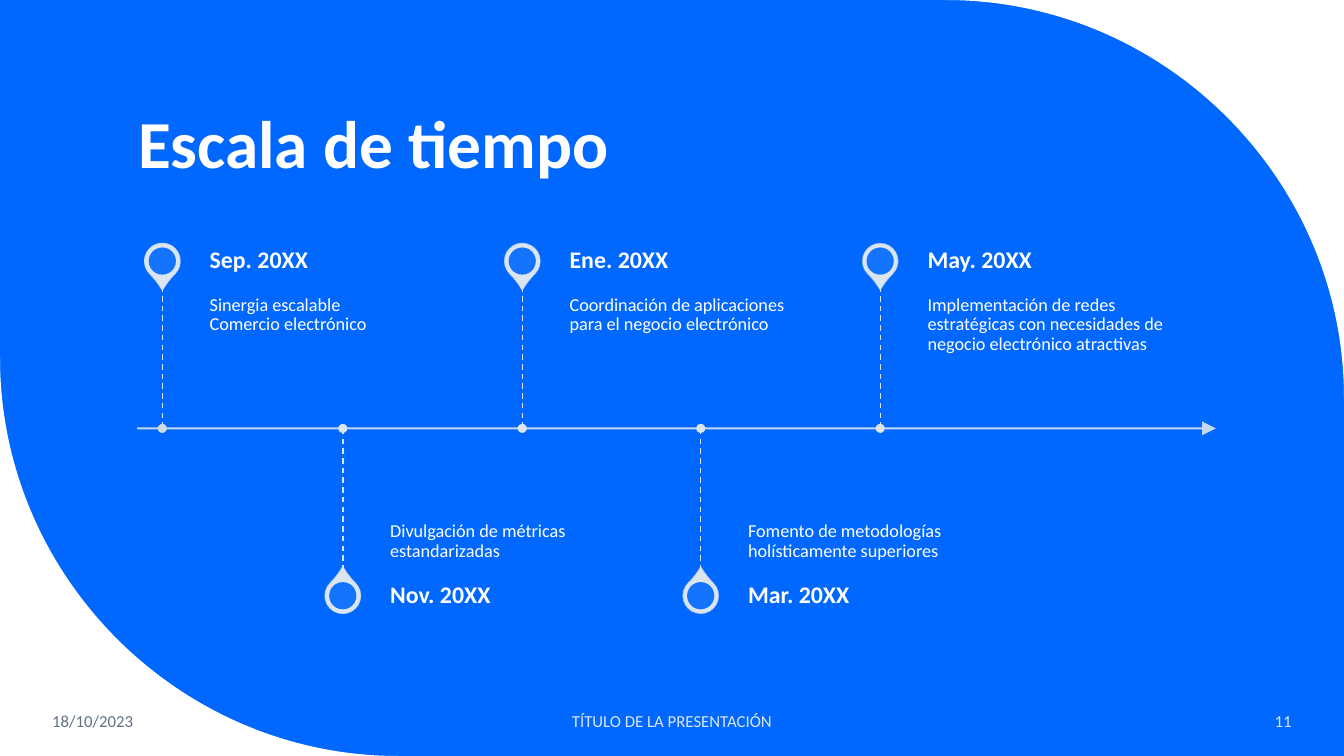
from dataclasses import dataclass

from lxml.etree import SubElement
from pptx import Presentation
from pptx.dml.color import RGBColor
from pptx.enum.dml import MSO_LINE
from pptx.enum.shapes import MSO_CONNECTOR, MSO_SHAPE
from pptx.enum.text import MSO_ANCHOR, MSO_AUTO_SIZE, PP_ALIGN
from pptx.oxml.ns import qn
from pptx.util import Emu, Pt


@dataclass(frozen=True)
class Theme:
    font: str = "Calibri"
    blue: str = "0068FF"
    white: str = "FFFFFF"
    pale: str = "DAE5EF"
    first_dot: str = "D0DBE4"
    grey: str = "637183"
    title: int = 48
    date: int = 17
    body: int = 13
    footer: int = 12


THEME = Theme()
EMU_PER_PX = 9144  # 100 px to the inch
WIDTH, HEIGHT = 1333, 750
CORNER_RADIUS = 395
CIRCLE_HANDLE = 0.55  # Bézier handle length of a quarter circle
AXIS_Y = 425
PIN_OFFSET = 166
STEM_LENGTH = 141
LABEL_OFFSET, LABEL_WIDTH, DATE_HEIGHT = 47, 253, 50
STOPS = [
    (161, "Sep. 20XX", "Sinergia escalable\nComercio electrónico"),
    (340, "Nov. 20XX", "Divulgación de métricas estandarizadas"),
    (518, "Ene. 20XX", "Coordinación de aplicaciones para el negocio electrónico"),
    (695, "Mar. 20XX", "Fomento de metodologías holísticamente superiores"),
    (873, "May. 20XX", "Implementación de redes estratégicas con necesidades de "
                       "negocio electrónico atractivas"),
]
FOOTERS = [
    ((42, 695, 186, 40), "18/10/2023", THEME.grey, PP_ALIGN.LEFT),
    ((442, 695, 449, 40), "TÍTULO DE LA PRESENTACIÓN", THEME.pale, PP_ALIGN.CENTER),
    ((1110, 695, 181, 40), "11", THEME.pale, PP_ALIGN.RIGHT),
]


def px(length):
    return Emu(round(length * EMU_PER_PX))


def rgb(color):
    return RGBColor.from_string(color)


def apply(target, values):
    for name, value in values.items():
        setattr(target, name, value)


def paint(shape, color):
    """Give a plain fill, with neither outline nor shadow."""
    shape.shadow.inherit = False
    shape.fill.solid()
    shape.fill.fore_color.rgb = rgb(color)
    shape.line.fill.background()


def fade(element, percent):
    """Set the opacity of every colour inside the element."""
    for color in element.iter(qn("a:srgbClr")):
        SubElement(color, qn("a:alpha"), val=str(percent * 1000))


def write(box, text, size, color=THEME.white, bold=False, anchor=MSO_ANCHOR.MIDDLE,
          align=PP_ALIGN.LEFT, insets=(10, 5, 10, 5), spacing=0.9):
    """Fill a shape with one formatted paragraph; insets run left, top, right, bottom."""
    frame = box.text_frame
    apply(frame, {"word_wrap": True, "auto_size": MSO_AUTO_SIZE.NONE,
                  "vertical_anchor": anchor})
    sides = ("margin_left", "margin_top", "margin_right", "margin_bottom")
    apply(frame, {side: px(inset) for side, inset in zip(sides, insets)})
    para = frame.paragraphs[0]
    apply(para, {"text": text, "alignment": align, "line_spacing": spacing})
    for span in para.runs:
        apply(span.font, {"name": THEME.font, "size": Pt(size), "bold": bold})
        span.font.color.rgb = rgb(color)


def add_text(page, place, text, size, **style):
    write(page.shapes.add_textbox(*map(px, place)), text, size, **style)


def add_title(page, text):
    title = page.shapes.title
    apply(title, {"left": px(127), "top": px(42), "width": px(1069), "height": px(145)})
    write(title, text, THEME.title, bold=True, anchor=MSO_ANCHOR.BOTTOM)


def add_corner(page, corner, start, end):
    """Cover a slide corner outside a quarter circle that runs from start to end."""
    builder = page.shapes.build_freeform(*corner, scale=EMU_PER_PX)
    builder.add_line_segments([start, end], close=True)
    shape = builder.convert_to_shape()
    paint(shape, THEME.white)
    origin = [min(values) for values in zip(corner, start, end)]
    curve = list(shape._element.iter(qn("a:lnTo")))[1]
    curve.tag = qn("a:cubicBezTo")
    for index, point in enumerate((start, end)):
        x, y = (round(value + (target - value) * CIRCLE_HANDLE - zero)
                for value, target, zero in zip(point, corner, origin))
        handle = SubElement(curve, qn("a:pt"), x=str(x), y=str(y))
        curve.insert(index, handle)


def add_centered(page, kind, x, y, size, color):
    shape = page.shapes.add_shape(kind, px(x - size / 2), px(y - size / 2),
                                  px(size), px(size))
    paint(shape, color)
    return shape


def add_line(page, start, end, width, dash=MSO_LINE.SOLID):
    connector = page.shapes.add_connector(MSO_CONNECTOR.STRAIGHT,
                                          *map(px, (*start, *end)))
    connector.line.color.rgb = rgb(THEME.pale)
    apply(connector.line, {"width": Pt(width), "dash_style": dash})
    SubElement(connector._element.spPr, qn("a:effectLst"))
    return connector


def add_axis(page):
    axis = add_line(page, (136, AXIS_Y), (1206, AXIS_Y), 1.5)
    outline = axis._element.spPr.find(qn("a:ln"))
    fade(outline, 90)
    SubElement(outline, qn("a:tailEnd"), type="triangle", w="lg", len="lg")


def add_pin(page, x, y, rotation, opacity):
    drop = add_centered(page, MSO_SHAPE.TEAR, x, y, 35, THEME.pale)
    drop.adjustments[0] = 1.15
    drop.rotation = rotation
    drop.line.color.rgb = rgb(THEME.pale)
    drop.line.width = Pt(1)
    fade(drop._element.spPr.find(qn("a:ln")), opacity)
    hole = add_centered(page, MSO_SHAPE.OVAL, x, y, 27, THEME.blue)
    fade(hole._element.spPr, 90)


def add_stop(page, index, x, date, text):
    """Draw one milestone; even ones stand above the axis, odd ones hang below."""
    above = index % 2 == 0
    side = -1 if above else 1
    pin_y = AXIS_Y + side * PIN_OFFSET
    stem_end = AXIS_Y + side * STEM_LENGTH
    left = x + LABEL_OFFSET
    add_pin(page, x, pin_y, 135 if above else 315, 90 - 10 * index)
    add_text(page, (left, min(stem_end, AXIS_Y), LABEL_WIDTH, STEM_LENGTH), text,
             THEME.body, anchor=MSO_ANCHOR.TOP if above else MSO_ANCHOR.BOTTOM,
             insets=(0, 9, 9, 14) if above else (0, 14, 0, 9))
    add_text(page, (left, pin_y - DATE_HEIGHT // 2, LABEL_WIDTH, DATE_HEIGHT), date,
             THEME.date, bold=True, insets=(0, 0, 12, 0))
    add_line(page, (x, stem_end), (x, AXIS_Y), 1, MSO_LINE.DASH)
    add_centered(page, MSO_SHAPE.OVAL, x, AXIS_Y, 9,
                 THEME.pale if index else THEME.first_dot)


def main():
    deck = Presentation()
    apply(deck, {"slide_width": px(WIDTH), "slide_height": px(HEIGHT)})
    page = deck.slides.add_slide(deck.slide_layouts.get_by_name("Title Only"))
    page.background.fill.solid()
    page.background.fill.fore_color.rgb = rgb(THEME.blue)
    add_corner(page, (WIDTH, 0), (WIDTH - CORNER_RADIUS, 0), (WIDTH, CORNER_RADIUS))
    add_corner(page, (0, HEIGHT), (CORNER_RADIUS, HEIGHT), (0, HEIGHT - CORNER_RADIUS))
    add_title(page, "Escala de tiempo")
    add_axis(page)
    for index, stop in enumerate(STOPS):
        add_stop(page, index, *stop)
    for place, text, color, align in FOOTERS:
        add_text(page, place, text, THEME.footer, color=color, align=align, spacing=1.0)
    deck.save("out.pptx")


if __name__ == "__main__":
    main()
